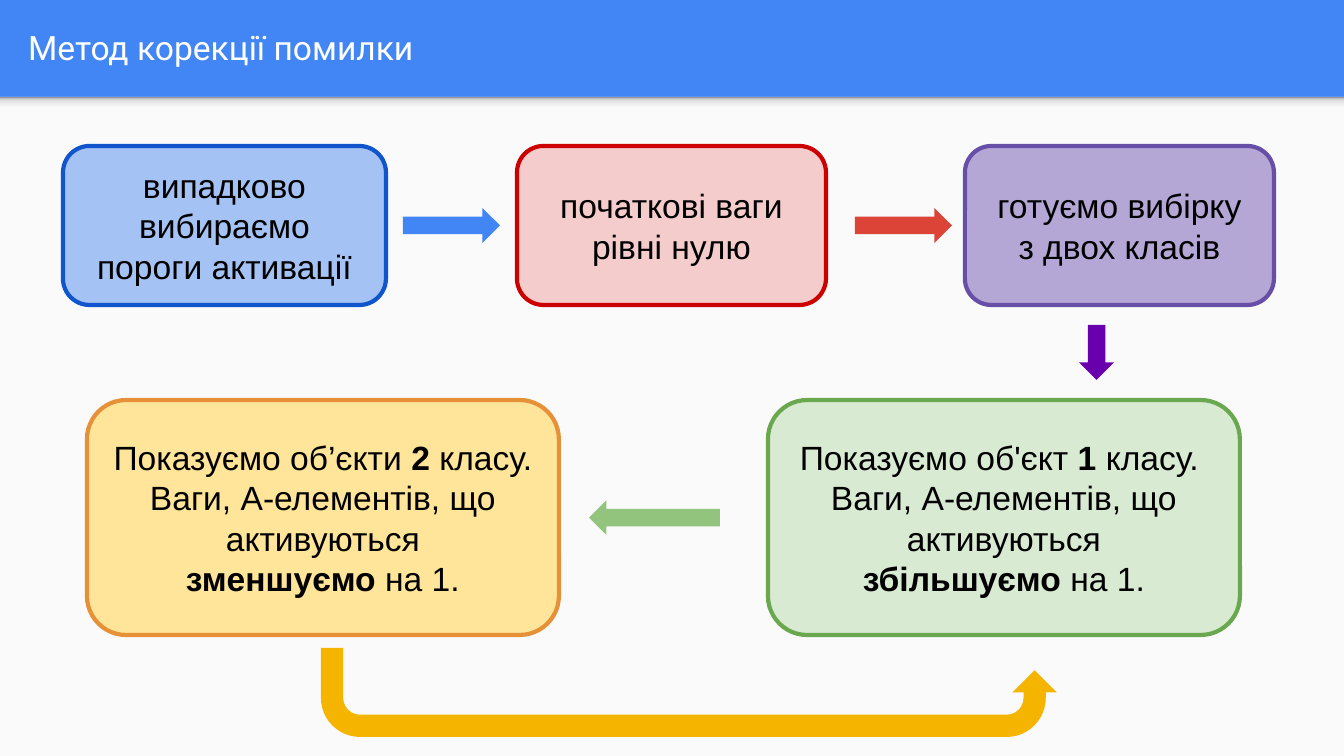
from dataclasses import dataclass

from lxml.etree import SubElement
from pptx import Presentation
from pptx.dml.color import RGBColor
from pptx.enum.shapes import MSO_SHAPE as Geometry
from pptx.enum.text import MSO_ANCHOR as Anchor, PP_ALIGN as Align
from pptx.oxml.ns import qn
from pptx.shapes.autoshape import Shape
from pptx.slide import Slide
from pptx.text.text import TextFrame
from pptx.util import Emu, Inches, Pt

PX = 914400 / 134.4
SLIDE_W, SLIDE_H = 1344, 756
HEADER_H, SHADOW_H = 97, 16
TOP_Y, TOP_H = 146, 159
BOTTOM_Y, BOTTOM_W, BOTTOM_H = 400, 472, 235
ARROW_H = 35

WHITE = RGBColor(0xFF, 0xFF, 0xFF)
BLACK = RGBColor(0x00, 0x00, 0x00)
BLUE = RGBColor(0x42, 0x85, 0xF4)
PAPER = RGBColor(0xFA, 0xFA, 0xFA)
SKY = RGBColor(0xA4, 0xC2, 0xF4)
NAVY = RGBColor(0x11, 0x55, 0xCC)
PINK = RGBColor(0xF4, 0xCC, 0xCC)
CRIMSON = RGBColor(0xCC, 0x00, 0x00)
LILAC = RGBColor(0xB4, 0xA7, 0xD6)
VIOLET = RGBColor(0x67, 0x4E, 0xA7)
MINT = RGBColor(0xD9, 0xEA, 0xD3)
GREEN = RGBColor(0x6A, 0xA8, 0x4F)
CREAM = RGBColor(0xFF, 0xE5, 0x99)
ORANGE = RGBColor(0xE6, 0x91, 0x38)
RED = RGBColor(0xDB, 0x44, 0x37)
PURPLE = RGBColor(0x69, 0x00, 0xAE)
LEAF = RGBColor(0x93, 0xC4, 0x7D)
AMBER = RGBColor(0xF4, 0xB4, 0x00)
SHADOW_STOPS = (
    (0, RGBColor(0xF9, 0xF9, 0xF9)),
    (36, RGBColor(0xF9, 0xF9, 0xF9)),
    (80, RGBColor(0xDE, 0xDE, 0xDE)),
    (100, RGBColor(0x99, 0x99, 0x99)),
)


@dataclass(frozen=True)
class Box:
    left: int
    top: int
    width: int
    height: int

    def emu(self) -> list[Emu]:
        return [Emu(round(n * PX)) for n in (self.left, self.top, self.width, self.height)]


@dataclass(frozen=True)
class Step:
    box: Box
    fill: RGBColor
    border: RGBColor
    lines: tuple[str, ...]


@dataclass(frozen=True)
class Arrow:
    box: Box
    fill: RGBColor
    rotation: int = 0


STEPS = (
    Step(Box(63, TOP_Y, 323, TOP_H), SKY, NAVY, ("випадково вибираємо пороги активації",)),
    Step(Box(517, TOP_Y, 309, TOP_H), PINK, CRIMSON, ("початкові ваги рівні нулю",)),
    Step(Box(965, TOP_Y, 309, TOP_H), LILAC, VIOLET, ("готуємо вибірку з двох класів",)),
    Step(Box(768, BOTTOM_Y, BOTTOM_W, BOTTOM_H), MINT, GREEN, (
        "Показуємо об'єкт *1 *класу. ",
        "Ваги, А-елементів, що активуються",
        "*збільшуємо *на 1.",
    )),
    Step(Box(87, BOTTOM_Y, BOTTOM_W, BOTTOM_H), CREAM, ORANGE, (
        "Показуємо об’єкти *2 *класу. ",
        "Ваги, А-елементів, що активуються",
        "*зменшуємо *на 1.",
    )),
)
ARROWS = (
    Arrow(Box(403, 208, 97, ARROW_H), BLUE),
    Arrow(Box(855, 208, 97, ARROW_H), RED),
    Arrow(Box(1069, 335, 55, ARROW_H), PURPLE, 90),
    Arrow(Box(589, 500, 131, ARROW_H), LEAF, 180),
)


def add_filled(slide: Slide, geometry: Geometry, box: Box, fill: RGBColor) -> Shape:
    shape = slide.shapes.add_shape(geometry, *box.emu())
    shape.shadow.inherit = False
    shape.fill.solid()
    shape.fill.fore_color.rgb = fill
    shape.line.fill.background()
    return shape


def write(frame: TextFrame, lines: tuple[str, ...], font: str, color: RGBColor, align: Align) -> None:
    frame.word_wrap = True
    frame.vertical_anchor = Anchor.MIDDLE
    frame.margin_left = frame.margin_right = Inches(0.1)
    frame.margin_top = frame.margin_bottom = Inches(0.1)
    for index, line in enumerate(lines):
        paragraph = frame.add_paragraph() if index else frame.paragraphs[0]
        paragraph.alignment = align
        paragraph.font.name = font
        paragraph.font.size = Pt(18)
        paragraph.font.color.rgb = color
        for position, part in enumerate(line.split("*")):
            if part:
                run = paragraph.add_run()
                run.text = part
                if position % 2:
                    run.font.bold = True


def add_header(slide: Slide, title: str) -> None:
    slide.background.fill.solid()
    slide.background.fill.fore_color.rgb = BLUE
    add_filled(slide, Geometry.RECTANGLE, Box(0, HEADER_H, SLIDE_W, SLIDE_H - HEADER_H), PAPER)
    shadow = add_filled(slide, Geometry.RECTANGLE, Box(0, HEADER_H, SLIDE_W, SHADOW_H), PAPER)
    shadow.fill.gradient()
    shadow.fill.gradient_angle = 90
    stops = next(shadow.element.iter(qn("a:gsLst")))
    for stop in list(stops):
        stops.remove(stop)
    for percent, color in SHADOW_STOPS:
        stop = SubElement(stops, qn("a:gs"), pos=str(percent * 1000))
        SubElement(stop, qn("a:srgbClr"), val=str(color))
    heading = slide.shapes.add_textbox(*Box(15, 3, 1297, 89).emu())
    write(heading.text_frame, (title,), "Roboto", WHITE, Align.LEFT)


def add_step(slide: Slide, step: Step) -> None:
    shape = add_filled(slide, Geometry.ROUNDED_RECTANGLE, step.box, step.fill)
    shape.line.color.rgb = step.border
    shape.line.width = Pt(2.25)
    write(shape.text_frame, step.lines, "Arial", BLACK, Align.CENTER)


def add_arrow(slide: Slide, arrow: Arrow) -> None:
    add_filled(slide, Geometry.RIGHT_ARROW, arrow.box, arrow.fill).rotation = arrow.rotation


def add_loop(slide: Slide, box: Box) -> None:
    loop = add_filled(slide, Geometry.U_TURN_ARROW, box, AMBER)
    for index, value in enumerate((0.25, 0.25, 0.25, 0.44, 0.75)):
        loop.adjustments[index] = value
    loop.rotation = 180
    next(loop.element.iter(qn("a:xfrm"))).set("flipH", "1")


def main() -> None:
    deck = Presentation()
    deck.slide_width = Emu(round(SLIDE_W * PX))
    deck.slide_height = Emu(round(SLIDE_H * PX))
    slide = deck.slides.add_slide(deck.slide_layouts[6])
    add_header(slide, "Метод корекції помилки")
    for step in STEPS:
        add_step(slide, step)
    for arrow in ARROWS:
        add_arrow(slide, arrow)
    add_loop(slide, Box(321, 648, 736, 89))
    deck.save("out.pptx")


if __name__ == "__main__":
    main()
